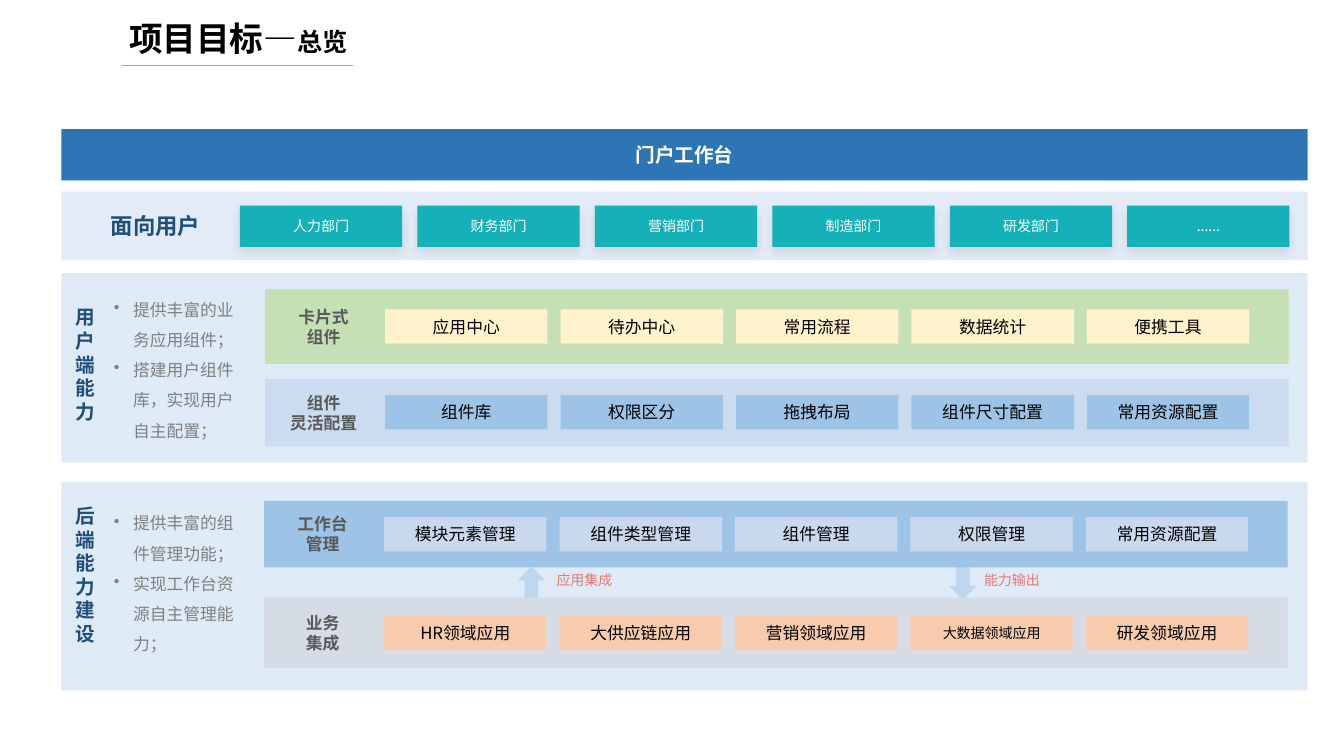
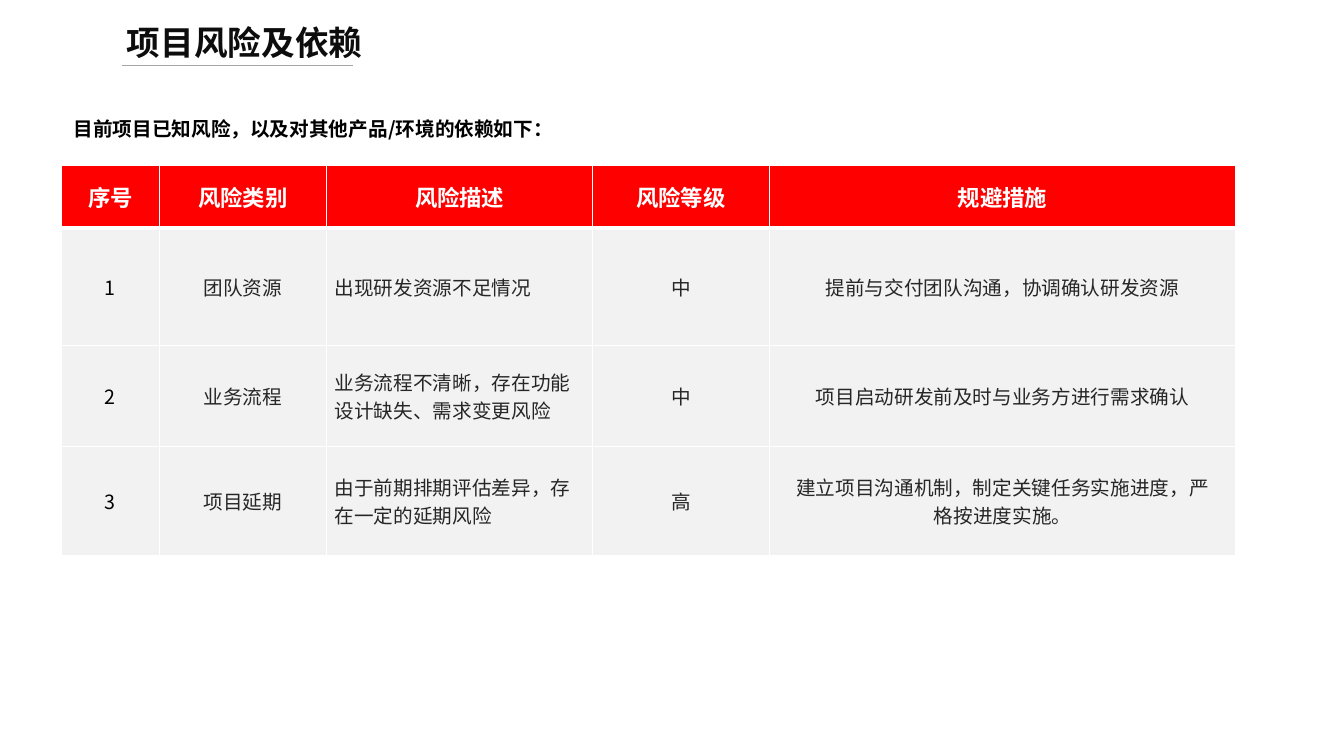
import dataclasses

import lxml.etree
import pptx
import pptx.dml.color
import pptx.enum.shapes
import pptx.enum.text
import pptx.oxml.ns
import pptx.util

ALIGN = pptx.enum.text.PP_ALIGN
ANCHOR = pptx.enum.text.MSO_ANCHOR
SHAPE = pptx.enum.shapes.MSO_SHAPE
qn = pptx.oxml.ns.qn


@dataclasses.dataclass(frozen=True)
class Theme:
    font: str = "Noto Sans CJK SC"
    black: str = "000000"
    white: str = "FFFFFF"
    ink: str = "0D0D0D"
    body: str = "262626"
    label: str = "595959"
    muted: str = "808080"
    rule: str = "A6A6A6"
    navy: str = "1F4E79"
    blue: str = "2E75B6"
    sky: str = "9DC3E6"
    arrow: str = "BDD7EE"
    panel: str = "DEEBF7"
    users: str = "E2EBF6"
    teal: str = "15B0B8"
    green: str = "C5E0B4"
    cream: str = "FFF2CC"
    indigo: str = "4472C4"
    periwinkle: str = "CAD8EE"
    gray: str = "D6DCE5"
    peach: str = "F8CBAD"
    coral: str = "E77871"
    red: str = "FF0000"
    cell: str = "F2F2F2"
    title_size: int = 24
    subtitle_size: int = 18
    heading_size: int = 16
    lead_size: int = 14
    text_size: int = 12
    small_size: int = 10


THEME = Theme()


def px(count):
    """Turn px, a hundredth of an inch each, into EMU."""
    return pptx.util.Emu(count * 9144)


def rgb(color):
    return pptx.dml.color.RGBColor.from_string(color)


def apply(target, values):
    for name, value in values.items():
        setattr(target, name, value)


def add_xml(parent, tag, **attributes):
    return lxml.etree.SubElement(parent, qn(tag), attributes)


def style(size, color, bold=False):
    return {"size": size, "color": color, "bold": bold}


def add_span(para, text, size, color, bold):
    span = para.add_run()
    span.text = text
    apply(span.font, {"name": THEME.font, "size": pptx.util.Pt(size), "bold": bold})
    span.font.color.rgb = rgb(color)
    add_xml(span.font._element, "a:ea", typeface=THEME.font)


def write(frame, lines, look, align=ALIGN.LEFT, leading=None):
    """Fill a text frame; leading is the line pitch in points."""
    for index, line in enumerate(lines):
        para = frame.add_paragraph() if index else frame.paragraphs[0]
        para.alignment = align
        if leading:
            para.line_spacing = pptx.util.Pt(leading)
        add_span(para, line, **look)


def set_frame(frame, anchor):
    apply(frame, {"word_wrap": True, "vertical_anchor": anchor, "margin_left": 0,
                  "margin_right": 0, "margin_top": 0, "margin_bottom": 0})


def add_text(page, area, lines, look, align=ALIGN.LEFT, leading=None, anchor=ANCHOR.MIDDLE):
    box = page.shapes.add_textbox(*map(px, area))
    set_frame(box.text_frame, anchor)
    write(box.text_frame, lines, look, align, leading)
    return box


def add_block(page, area, color, text=None, look=None, kind=SHAPE.RECTANGLE):
    block = page.shapes.add_shape(kind, *map(px, area))
    block.shadow.inherit = False
    block.fill.solid()
    block.fill.fore_color.rgb = rgb(color)
    block.line.fill.background()
    if text:
        set_frame(block.text_frame, ANCHOR.MIDDLE)
        write(block.text_frame, [text], look, ALIGN.CENTER)
    return block


def add_soft_shadow(block):
    effects = block._element.spPr.find(qn("a:effectLst"))
    shadow = add_xml(effects, "a:outerShdw", blurRad=str(pptx.util.Pt(8)),
                     dist=str(pptx.util.Pt(4)), dir="5400000", algn="t", rotWithShape="0")
    color = add_xml(shadow, "a:srgbClr", val=THEME.black)
    add_xml(color, "a:alpha", val="10000")


def set_opacity(block, percent):
    color = block._element.spPr.find(qn("a:solidFill")).find(qn("a:srgbClr"))
    add_xml(color, "a:alpha", val=str(percent * 1000))


def add_title(page, left, top, text, color, suffix=None):
    line = page.shapes.add_connector(
        pptx.enum.shapes.MSO_CONNECTOR.STRAIGHT, px(121), px(65), px(350), px(65))
    line.line.color.rgb = rgb(THEME.rule)
    line.line.width = pptx.util.Pt(0.5)
    add_xml(line._element.spPr, "a:effectLst")
    box = add_text(page, (left, top, 400, 50), [text], style(THEME.title_size, color, True))
    if suffix:
        add_span(box.text_frame.paragraphs[0], suffix, **style(THEME.subtitle_size, color, True))


def add_departments(page, names):
    add_block(page, (61, 190, 1236, 68), THEME.users)
    add_text(page, (110, 205, 120, 37), ["面向用户"],
             style(THEME.heading_size, THEME.navy, True))
    for index, name in enumerate(names):
        block = add_block(page, (238 + 176 * index, 204, 161, 41), THEME.teal, name,
                          style(THEME.small_size, THEME.white))
        add_soft_shadow(block)


def add_panel(page, top, height, heading, heading_top, bullets, bullets_top):
    """Draw a panel with its heading, one character a line, and its bullets."""
    add_block(page, (61, top, 1236, height), THEME.panel)
    add_text(page, (75, heading_top, 26, 24 * len(heading)), [heading],
             style(THEME.lead_size, THEME.navy, True), leading=16.8, anchor=ANCHOR.TOP)
    box = add_text(page, (113, bullets_top, 130, 151), bullets,
                   style(THEME.text_size, THEME.muted), leading=21.6, anchor=ANCHOR.TOP)
    for para in box.text_frame.paragraphs:
        props = para._p.get_or_add_pPr()
        props.set("marL", str(px(19)))
        props.set("indent", str(px(-19)))
        add_xml(props, "a:buChar", char="•")


def add_band(page, left, top, height, color, label, chip_color, chips, opacity=100):
    """Draw a band with a label and a row of chips, all centred on its height."""
    band = add_block(page, (left, top, 1015, height), color)
    if opacity < 100:
        set_opacity(band, opacity)
    add_text(page, (left + 6, top, 104, height), label,
             style(THEME.text_size, THEME.label, True), ALIGN.CENTER, leading=14.4)
    for index, chip in enumerate(chips):
        size = THEME.small_size if len(chip) == 7 and chip.isalpha() and chip[0] == "大" \
            else THEME.text_size
        add_block(page, (left + 119 + 174 * index, top + (height - 34) // 2, 161, 34),
                  chip_color, chip, style(size, THEME.black))


def add_flow(page, left, kind, label, label_left):
    arrow = add_block(page, (left, 563, 24, 31), THEME.arrow, kind=kind)
    arrow.line.color.rgb = rgb(THEME.arrow)
    arrow.line.width = pptx.util.Pt(1)
    add_text(page, (label_left, 562, 90, 27), [label], style(THEME.small_size, THEME.coral))


def set_cell(cell, text, look, align, fill, top_width, bottom_width):
    props = cell._tc.get_or_add_tcPr()
    for side, width in (("L", 1), ("R", 1), ("T", top_width), ("B", bottom_width)):
        line = add_xml(props, f"a:ln{side}", w=str(pptx.util.Pt(width)))
        add_xml(add_xml(line, "a:solidFill"), "a:srgbClr", val=THEME.white)
    cell.fill.solid()
    cell.fill.fore_color.rgb = rgb(fill)
    apply(cell, {"vertical_anchor": ANCHOR.MIDDLE, "margin_left": px(8),
                 "margin_right": px(8), "margin_top": 0, "margin_bottom": 0})
    write(cell.text_frame, text.split("\n"), look, align)


def add_risk_table(page, left, top, widths, heights, rows):
    table = page.shapes.add_table(len(rows), len(widths), px(left), px(top),
                                  px(sum(widths)), px(sum(heights))).table
    apply(table, {"first_row": False, "horz_banding": False})
    for column, width in zip(table.columns, widths):
        column.width = px(width)
    for row, height in zip(table.rows, heights):
        row.height = px(height)
    for row_index, row in enumerate(rows):
        header = row_index == 0
        for column_index, text in enumerate(row):
            color = THEME.black if column_index == 0 else THEME.body
            look = style(THEME.heading_size, THEME.white, True) if header \
                else style(THEME.lead_size, color)
            align = ALIGN.LEFT if column_index == 2 and not header else ALIGN.CENTER
            set_cell(table.cell(row_index, column_index), text, look, align,
                     THEME.red if header else THEME.cell,
                     3 if row_index == 1 else 1, 3 if header else 1)


def build_overview(page):
    add_title(page, 128, 13, "项目目标—", THEME.black, "总览")
    add_block(page, (61, 128, 1236, 51), THEME.blue, "门户工作台",
              style(THEME.lead_size, THEME.white, True))
    add_departments(page, ["人力部门", "财务部门", "营销部门", "制造部门", "研发部门", "......"])
    add_panel(page, 271, 188, "用户端能力", 303,
              ["提供丰富的业务应用组件；", "搭建用户组件库，实现用户自主配置；"], 287)
    add_panel(page, 478, 207, "后端能力建设", 500,
              ["提供丰富的组件管理功能；", "实现工作台资源自主管理能力；"], 499)
    add_flow(page, 515, SHAPE.UP_ARROW, "应用集成", 552)
    add_flow(page, 943, SHAPE.DOWN_ARROW, "能力输出", 976)
    add_band(page, 263, 287, 74, THEME.green, ["卡片式", "组件"], THEME.cream,
             ["应用中心", "待办中心", "常用流程", "数据统计", "便携工具"])
    add_band(page, 263, 376, 67, THEME.indigo, ["组件", "灵活配置"], THEME.sky,
             ["组件库", "权限区分", "拖拽布局", "组件尺寸配置", "常用资源配置"], opacity=12)
    add_band(page, 262, 497, 66, THEME.sky, ["工作台", "管理"], THEME.periwinkle,
             ["模块元素管理", "组件类型管理", "组件管理", "权限管理", "常用资源配置"])
    add_band(page, 262, 593, 70, THEME.gray, ["业务", "集成"], THEME.peach,
             ["HR领域应用", "大供应链应用", "营销领域应用", "大数据领域应用", "研发领域应用"])


def build_risks(page):
    add_title(page, 126, 17, "项目风险及依赖", THEME.ink)
    add_text(page, (73, 116, 733, 23), ["目前项目已知风险，以及对其他产品/环境的依赖如下："],
             style(THEME.lead_size, THEME.black, True))
    add_risk_table(page, 61, 164, [97, 166, 264, 175, 463], [62, 117, 100, 108], [
        ["序号", "风险类别", "风险描述", "风险等级", "规避措施"],
        ["1", "团队资源", "出现研发资源不足情况", "中", "提前与交付团队沟通，协调确认研发资源"],
        ["2", "业务流程", "业务流程不清晰，存在功能设计缺失、需求变更风险", "中",
         "项目启动研发前及时与业务方进行需求确认"],
        ["3", "项目延期", "由于前期排期评估差异，存在一定的延期风险", "高",
         "建立项目沟通机制，制定关键任务实施进度，严\n格按进度实施。"],
    ])


def main():
    deck = pptx.Presentation()
    apply(deck, {"slide_width": px(1333), "slide_height": px(750)})
    for build in (build_overview, build_risks):
        build(deck.slides.add_slide(deck.slide_layouts[6]))
    deck.save("out.pptx")


if __name__ == "__main__":
    main()
